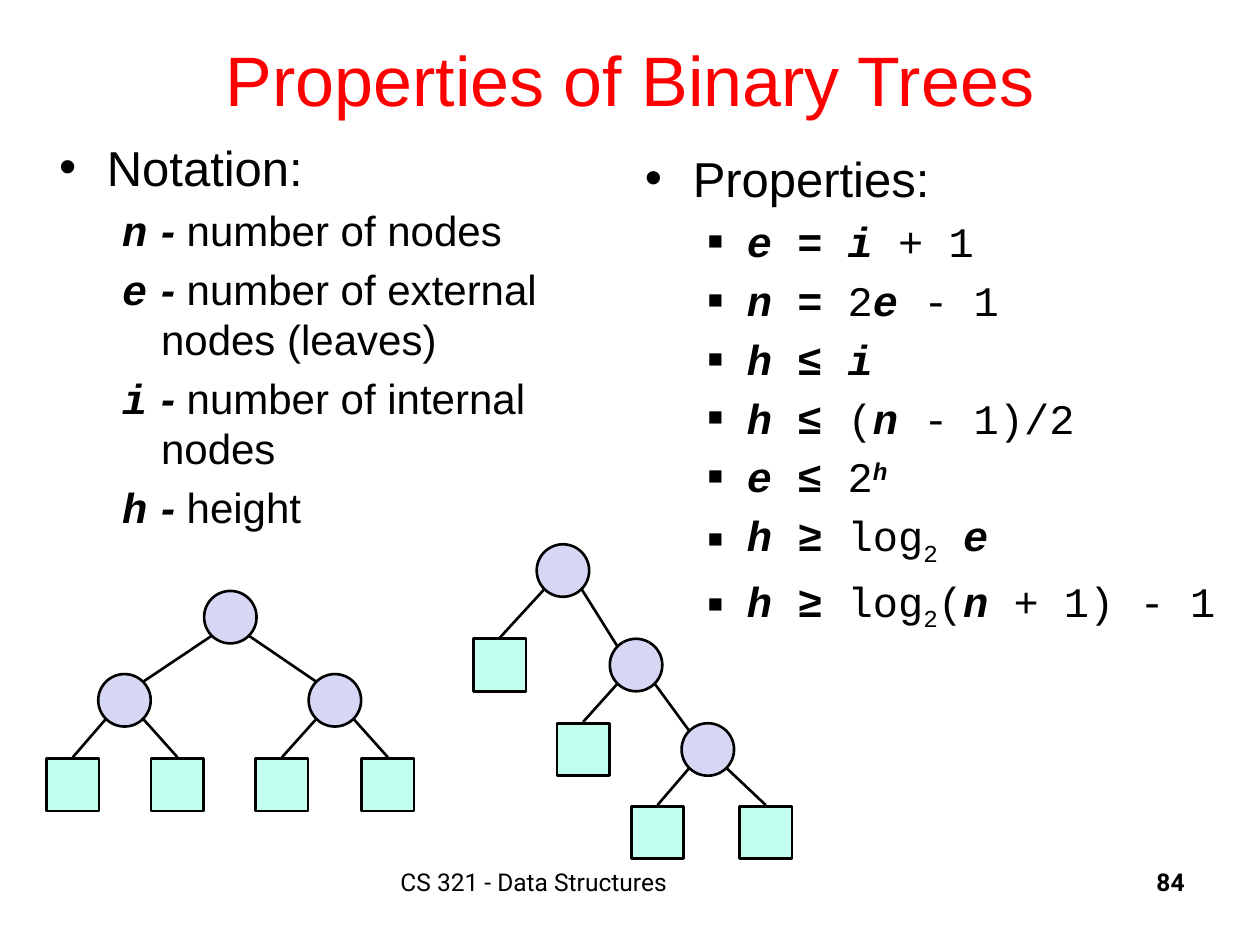
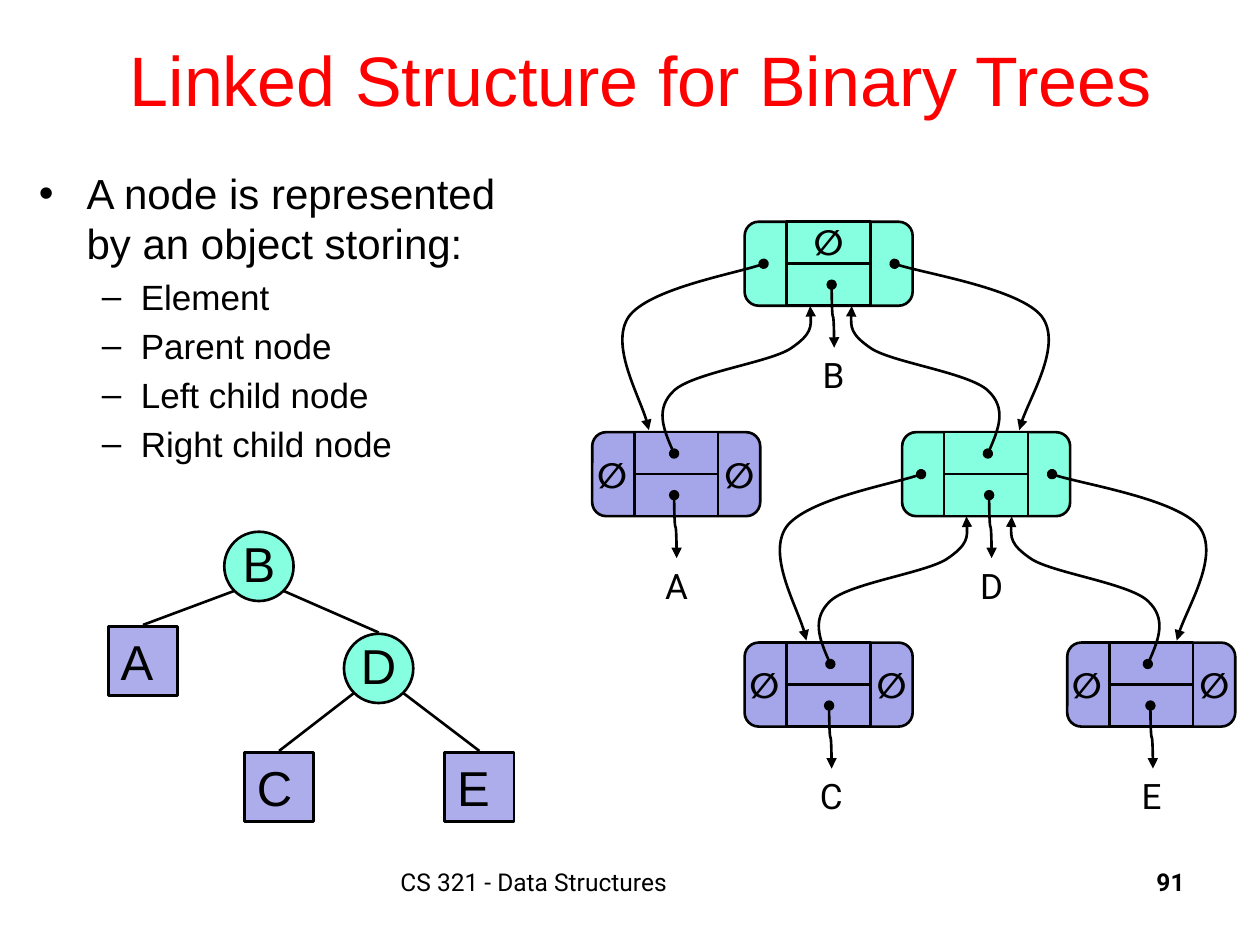
from lxml.etree import SubElement
from pptx import Presentation
from pptx.dml.color import RGBColor
from pptx.enum.shapes import MSO_CONNECTOR, MSO_SHAPE
from pptx.enum.text import MSO_ANCHOR, PP_ALIGN
from pptx.oxml.ns import qn
from pptx.util import Inches, Pt

COLORS = {"ink": "000000", "title": "FF0000", "lilac": "D6D6F5", "mint": "C2FFF0",
          "aqua": "85FFE0", "violet": "ADADEB", "record": "A5A5E9"}
SANS, MONO, LABEL = "Arial", "Courier New", "Roboto"
FOOTER = "CS 321 - Data Structures"
LINE_WIDTH = Pt(1.5)

# Run styles: font, bold, italic, baseline in percent
STYLES = {"text": (SANS, False, False, 0), "dash": (SANS, True, True, 0),
          "var": (MONO, True, True, 0), "op": (MONO, True, False, 0),
          "num": (MONO, False, False, 0), "sup": (MONO, True, True, 30),
          "sub": (MONO, False, False, -25),
          "label": (LABEL, False, False, 0), "strong": (LABEL, True, False, 0)}

# Bullet styles: character, size in percent
HEAD, SQUARE, DASH, PLAIN = ("•", 100), ("■", 60), ("–", 100), None

NOTATION = [("n", "number of nodes"), ("e", "number of external nodes (leaves)"),
            ("i", "number of internal nodes"), ("h", "height")]
PROPERTIES = [
    [("e ", "var"), ("= ", "op"), ("i ", "var"), ("+ 1", "num")],
    [("n ", "var"), ("= ", "op"), ("2", "num"), ("e ", "var"), ("- 1", "num")],
    [("h ", "var"), ("≤ ", "op"), ("i", "var")],
    [("h ", "var"), ("≤ ", "op"), ("(", "num"), ("n ", "var"), ("- 1)/2", "num")],
    [("e ", "var"), ("≤ ", "op"), ("2", "num"), ("h", "sup")],
    [("h ", "var"), ("≥ ", "op"), ("log", "num"), ("2", "sub"), (" e", "var")],
    [("h ", "var"), ("≥ ", "op"), ("log", "num"), ("2", "sub"), ("(", "num"),
     ("n ", "var"), ("+ 1) - 1", "num")],
]
NODE_FIELDS = ["Element", "Parent node", "Left child node", "Right child node"]

# Tree nodes: left, top, index of parent, is leaf, label
FULL_TREE = [(1.62, 4.69, None, False, ""), (0.78, 5.35, 0, False, ""),
             (2.45, 5.35, 0, False, ""), (0.37, 6.02, 1, True, ""),
             (1.2, 6.02, 1, True, ""), (2.03, 6.02, 2, True, ""),
             (2.87, 6.02, 2, True, "")]
SKEWED_TREE = [(4.26, 4.32, None, False, ""), (3.76, 5.07, 0, True, ""),
               (4.84, 5.07, 0, False, ""), (4.42, 5.74, 2, True, ""),
               (5.41, 5.74, 2, False, ""), (5.01, 6.4, 4, True, ""),
               (5.87, 6.4, 4, True, "")]
LETTER_TREE = [(1.78, 4.22, None, False, "B"), (0.86, 4.97, 0, True, "A"),
               (2.73, 5.03, 0, False, "D"), (1.94, 5.97, 2, True, "C"),
               (3.53, 5.97, 2, True, "E")]

# Linked records: left, top, left child, right child,
# and how far in the element pointer and the parent pointer start
RECORDS = {"B": (5.91, 1.76, "A", "D", 0.69, None),
           "A": (4.7, 3.43, None, None, 0.65, 0.65),
           "D": (7.16, 3.43, "C", "E", 0.69, 0.68),
           "C": (5.91, 5.1, None, None, 0.67, 0.68),
           "E": (8.47, 5.1, None, None, 0.66, 0.64)}
RECORD_WIDTH, RECORD_HEIGHT = 4 / 3, 2 / 3

# Cubic curves as control points relative to their start
TO_LEFT = [(-0.18, 0.07), (-0.91, 0.2), (-1.07, 0.42),
           (-1.22, 0.64), (-0.94, 1.13), (-0.91, 1.32)]
TO_RIGHT = [(0.19, 0.07), (1.0, 0.2), (1.17, 0.42),
            (1.33, 0.64), (1.03, 1.13), (0.99, 1.32)]
LEFT_TO_PARENT = [(-0.08, -0.18), (-0.15, -0.36), (0, -0.5), (0.15, -0.64),
                  (0.74, -0.72), (0.92, -0.83), (1.1, -0.95), (1.09, -1.06), (1.08, -1.17)]
RIGHT_TO_PARENT = [(-dx, dy) for dx, dy in LEFT_TO_PARENT]


def color(name):
    return RGBColor.from_string(COLORS[name])


def add_span(para, text, style, size, ink="ink"):
    span = para.add_run()
    span.text = text
    name, bold, italic, baseline = STYLES[style]
    font = span.font
    font.name, font.size, font.bold, font.italic = name, Pt(size), bold, italic
    font.color.rgb = color(ink)
    if baseline:
        span._r.get_or_add_rPr().set("baseline", str(baseline * 1000))


def add_box(page, left, top, width, height, wrap=True):
    box = page.shapes.add_textbox(*map(Inches, (left, top, width, height)))
    box.text_frame.word_wrap = wrap
    return box.text_frame


def add_label(page, text, left, top, width, height=0.43, style="label", size=20,
              align=PP_ALIGN.CENTER, wrap=False):
    para = add_box(page, left, top, width, height, wrap).paragraphs[0]
    para.alignment = align
    add_span(para, text, style, size)


def add_outline(page, left, top, width, height, items):
    """Fill a text box with (level, bullet, size, runs) items."""
    frame = add_box(page, left, top, width, height)
    for index, (level, bullet, size, runs) in enumerate(items):
        para = frame.add_paragraph() if index else frame.paragraphs[0]
        para.level = level
        if index:
            para.space_before = Pt(size * 0.2)
        margin, indent = [(0.38, -0.38), (0.81, -0.31)][level]
        props = para._p.get_or_add_pPr()
        props.set("marL", str(Inches(margin)))
        props.set("indent", str(Inches(indent)))
        if bullet:
            character, percent = bullet
            SubElement(props, qn("a:buSzPct"), val=str(percent * 1000))
            SubElement(props, qn("a:buFont"), typeface=SANS)
            SubElement(props, qn("a:buChar"), char=character)
        else:
            SubElement(props, qn("a:buNone"))
        for text, style in runs:
            add_span(para, text, style, size)


def add_page(deck, title, left, width, number):
    page = deck.slides.add_slide(deck.slide_layouts[5])
    heading = page.shapes.title
    heading.left, heading.top = Inches(left), Inches(0)
    heading.width, heading.height = Inches(width), Inches(1.25)
    frame = heading.text_frame
    frame.word_wrap, frame.vertical_anchor = True, MSO_ANCHOR.MIDDLE
    frame.paragraphs[0].alignment = PP_ALIGN.CENTER
    add_span(frame.paragraphs[0], title, "text", 40, "title")
    add_label(page, FOOTER, 3.08, 6.83, 3.83, 0.5, size=14, align=PP_ALIGN.LEFT, wrap=True)
    add_label(page, number, 7.42, 6.83, 2.08, 0.5, "strong", 14, PP_ALIGN.RIGHT, True)
    return page


def add_shape(page, kind, left, top, width, height, fill):
    shape = page.shapes.add_shape(kind, *map(Inches, (left, top, width, height)))
    shape.shadow.inherit = False
    shape.fill.solid()
    shape.fill.fore_color.rgb = color(fill)
    shape.line.color.rgb = color("ink")
    shape.line.width = LINE_WIDTH
    return shape


def add_line(page, start, end, kind=MSO_CONNECTOR.STRAIGHT):
    line = page.shapes.add_connector(kind, *map(Inches, (*start, *end)))
    line.line.color.rgb = color("ink")
    line.line.width = LINE_WIDTH
    SubElement(line._element.spPr, qn("a:effectLst"))
    return line


def add_pointer_ends(line):
    """Put a dot at the start of a line and an arrowhead at its end."""
    outline = line._get_or_add_ln()
    SubElement(outline, qn("a:headEnd"), type="oval")
    SubElement(outline, qn("a:tailEnd"), type="triangle")


def add_element_pointer(page, x, y, length=0.5, shift=0.02):
    """Draw a short curved connector, turned so that it runs downward."""
    left, top = x + (shift - length) / 2, y + (length - shift) / 2
    pointer = add_line(page, (left, top), (left + length, top + shift), MSO_CONNECTOR.CURVE)
    frame = pointer._element.spPr.find(qn("a:xfrm"))
    frame.set("rot", str(270 * 60000))
    frame.set("flipH", "1")
    add_pointer_ends(pointer.line)


def add_curve(page, x, y, controls):
    """Draw an arrow of cubic segments, each given by three control points."""
    builder = page.shapes.build_freeform(Inches(x), Inches(y))
    builder.add_line_segments([(Inches(x + dx), Inches(y + dy)) for dx, dy in controls],
                              close=False)
    curve = builder.convert_to_shape()
    route = next(curve._element.iter(qn("a:path")))
    corners = route.findall(qn("a:lnTo"))
    for first in range(0, len(corners), 3):
        cubic = SubElement(route, qn("a:cubicBezTo"))
        for corner in corners[first:first + 3]:
            cubic.append(corner[0])
            route.remove(corner)
    curve.shadow.inherit = False
    curve.fill.background()
    curve.line.color.rgb = color("ink")
    curve.line.width = LINE_WIDTH
    add_pointer_ends(curve.line)


def add_tree(page, nodes, size, inner_fill, leaf_fill, join_at_top=False):
    """Draw circles and leaf squares, each joined to its parent."""
    half, diagonal = size / 2, size * 0.354
    for left, top, parent, is_leaf, label in nodes:
        kind, fill = ((MSO_SHAPE.RECTANGLE, leaf_fill) if is_leaf
                      else (MSO_SHAPE.OVAL, inner_fill))
        shape = add_shape(page, kind, left, top, size, size, fill)
        if label:
            frame = shape.text_frame
            frame.word_wrap, frame.vertical_anchor = is_leaf, MSO_ANCHOR.MIDDLE
            para = frame.paragraphs[0]
            para.alignment = PP_ALIGN.LEFT if is_leaf else PP_ALIGN.CENTER
            if not is_leaf:
                frame.margin_left = frame.margin_right = frame.margin_top = 0
            add_span(para, label, "text", 28)
        if parent is None:
            continue
        parent_left, parent_top = nodes[parent][:2]
        side = 1 if left > parent_left else -1
        start = (parent_left + half + side * diagonal, parent_top + half + diagonal)
        if is_leaf or join_at_top:
            end = (left + half, top - 0.01)
        else:
            end = (left + half - side * diagonal, top + half - diagonal)
        add_line(page, start, end)


def add_record(page, name):
    left, top, left_child, _, element_start, parent_start = RECORDS[name]
    fill = "aqua" if left_child else "record"
    third, middle = RECORD_WIDTH / 4, top + RECORD_HEIGHT / 2
    frame = add_shape(page, MSO_SHAPE.ROUNDED_RECTANGLE, left, top,
                      RECORD_WIDTH, RECORD_HEIGHT, fill)
    frame.adjustments[0] = 0.167
    add_shape(page, MSO_SHAPE.RECTANGLE, left + third, top, 2 * third, RECORD_HEIGHT, fill)
    add_line(page, (left + third, middle), (left + 3 * third, middle))
    empty_spots = [] if left_child else [(-0.06, 0.12), (0.95, 0.12)]
    if parent_start is None:
        empty_spots.append((0.45, -0.06))
    for dx, dy in empty_spots:
        add_label(page, "∅", left + dx, top + dy, 0.43, style="strong")
    add_label(page, name, left + element_start - 0.17, top + 1, 0.36)


def add_record_pointers(page, name):
    left, top, left_child, right_child, element_start, _ = RECORDS[name]
    middle = top + RECORD_HEIGHT / 2
    add_element_pointer(page, left + element_start, top + 0.5)
    if not left_child:
        return
    add_curve(page, left + 0.15, middle, TO_LEFT)
    add_curve(page, left + 1.19, middle, TO_RIGHT)
    for child, controls in ((left_child, LEFT_TO_PARENT), (right_child, RIGHT_TO_PARENT)):
        child_left, child_top, *_, parent_start = RECORDS[child]
        add_curve(page, child_left + parent_start, child_top + 0.17, controls)


def build_properties_page(deck):
    page = add_page(deck, "Properties of Binary Trees", 0.75, 8.5, "84")
    notation = [(1, PLAIN, 24, [(f"{symbol}\t", "var"), ("- ", "dash"), (meaning, "text")])
                for symbol, meaning in NOTATION]
    add_outline(page, 0.37, 1.04, 4.01, 3.39,
                [(0, HEAD, 28, [("Notation:", "text")])] + notation)
    for tree in (FULL_TREE, SKEWED_TREE):
        add_tree(page, tree, 5 / 12, "lilac", "mint")
    add_outline(page, 5.02, 1.13, 5.06, 4.17,
                [(0, HEAD, 28, [("Properties:", "text")])]
                + [(1, SQUARE, 24, runs) for runs in PROPERTIES])


def build_linked_page(deck):
    page = add_page(deck, "Linked Structure for Binary Trees", 0.67, 8.83, "91")
    lead = "A node is represented by an object storing:"
    add_outline(page, 0.21, 1.28, 3.86, 2.65,
                [(0, HEAD, 24, [(lead, "text")])]
                + [(1, DASH, 20, [(field, "text")]) for field in NODE_FIELDS])
    add_tree(page, LETTER_TREE, 0.55, "aqua", "violet", join_at_top=True)
    for name in RECORDS:
        add_record(page, name)
    for name in RECORDS:
        add_record_pointers(page, name)


def main():
    deck = Presentation()
    deck.slide_width, deck.slide_height = Inches(10), Inches(7.5)
    build_properties_page(deck)
    build_linked_page(deck)
    deck.save("out.pptx")


if __name__ == "__main__":
    main()
